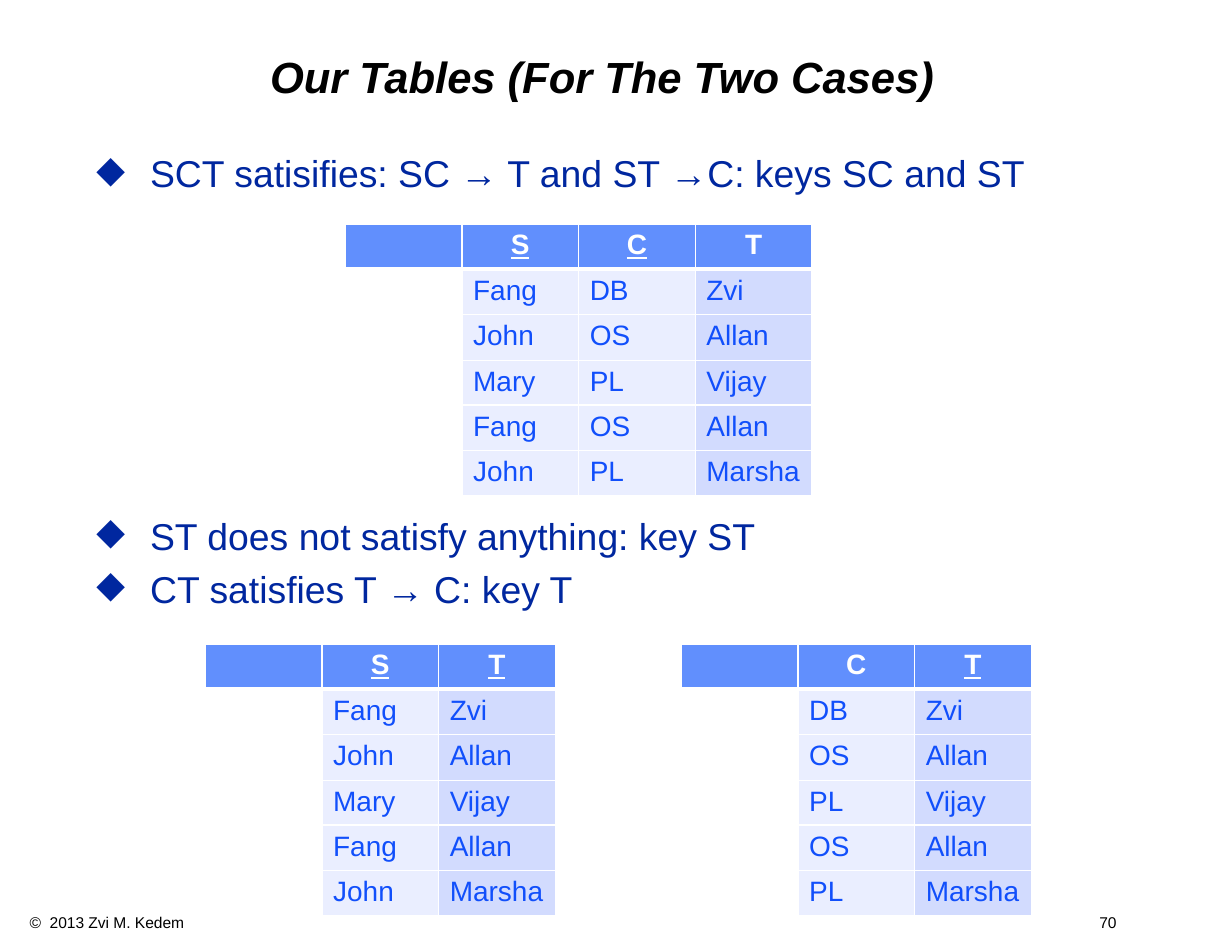
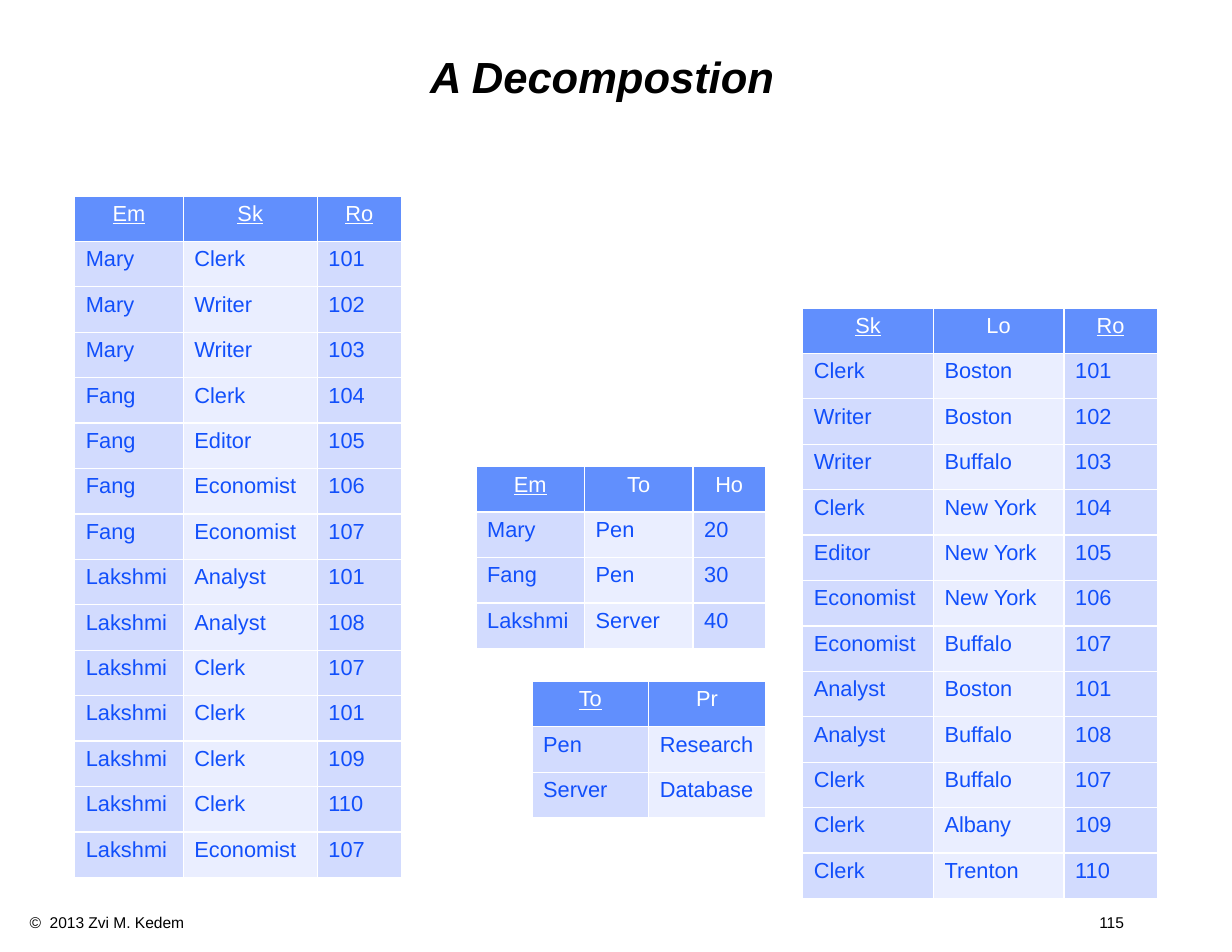
from dataclasses import dataclass

from lxml import etree
from pptx import Presentation
from pptx.dml.color import RGBColor
from pptx.enum.text import MSO_ANCHOR, PP_ALIGN
from pptx.oxml.ns import qn
from pptx.util import Inches, Pt

CENTER, LEFT = PP_ALIGN.CENTER, PP_ALIGN.LEFT
TOP, MIDDLE = MSO_ANCHOR.TOP, MSO_ANCHOR.MIDDLE

SLIDE_WIDTH, SLIDE_HEIGHT = Inches(11), Inches(8.5)
COLUMNS, ROWS = 132, 102
ROW_HEIGHT, SHORT_ROW_HEIGHT = 4.87, 4.5
SHORT_ROW = 3


@dataclass(frozen=True)
class Theme:
    font: str = "Arial"
    title_size: int = 28
    body_size: int = 24
    large_table_size: int = 18
    small_table_size: int = 14
    footer_size: int = 10
    black: str = "000000"
    white: str = "FFFFFF"
    body: str = "00279F"
    header: str = "618FFD"
    cell_text: str = "114FFB"
    light: str = "EAEEFF"
    deep: str = "D2DBFE"


class Page:
    """One slide, placed on a grid of COLUMNS by ROWS."""

    def __init__(self, deck, theme):
        self.theme = theme
        self.shapes = deck.slides.add_slide(deck.slide_layouts[6]).shapes

    def x(self, columns):
        return round(SLIDE_WIDTH * columns / COLUMNS)

    def y(self, rows):
        return round(SLIDE_HEIGHT * rows / ROWS)

    def style(self, para, size, color, bold=False, italic=False, underline=False):
        for span in para.runs:
            font = span.font
            font.name, font.size = self.theme.font, Pt(size)
            font.bold, font.italic, font.underline = bold, italic, underline
            font.color.rgb = RGBColor.from_string(color)

    def text_frame(self, left, top, width, height, inset, anchor=TOP):
        box = self.shapes.add_textbox(
            self.x(left), self.y(top), self.x(width), self.y(height))
        frame = box.text_frame
        frame.word_wrap = True
        frame.vertical_anchor = anchor
        frame.margin_left = frame.margin_right = Inches(inset)
        frame.margin_top = frame.margin_bottom = Inches(inset / 2)
        return frame

    def footer(self, number):
        frame = self.text_frame(2, 97.2, 124, 3.2, 0.1)
        para = frame.paragraphs[0]
        para.text = f"©  2013 Zvi M. Kedem\t{number}"
        tabs = etree.SubElement(para._p.get_or_add_pPr(), qn("a:tabLst"))
        etree.SubElement(tabs, qn("a:tab"), pos=str(Inches(9.55)), algn="l")
        self.style(para, self.theme.footer_size, self.theme.black)

    def title(self, text):
        para = self.text_frame(9, 3, 111, 11, 0.11, MIDDLE).paragraphs[0]
        para.text = text
        para.alignment = CENTER
        para.line_spacing = 0.9
        self.style(para, self.theme.title_size, self.theme.black, bold=True, italic=True)

    def bullets(self, items):
        """Write (text, points of space before) pairs as a diamond list."""
        frame = self.text_frame(9, 16, 112, 80, 0.11)
        for index, (text, space) in enumerate(items):
            para = frame.add_paragraph() if index else frame.paragraphs[0]
            para.text = text
            properties = para._p.get_or_add_pPr()
            properties.set("marL", str(Inches(0.48)))
            properties.set("indent", str(-Inches(0.48)))
            color = etree.SubElement(properties, qn("a:buClr"))
            etree.SubElement(color, qn("a:srgbClr"), val=self.theme.body)
            etree.SubElement(properties, qn("a:buChar"), char="◆")
            para.line_spacing = 0.9
            if space:
                para.space_before = Pt(space)
            self.style(para, self.theme.body_size, self.theme.body)

    def borders(self, cell, top, bottom):
        properties = cell._tc.get_or_add_tcPr()
        for side, width in (("L", 1), ("R", 1), ("T", top), ("B", bottom)):
            line = etree.SubElement(properties, qn(f"a:ln{side}"), w=str(Pt(width)))
            fill = etree.SubElement(line, qn("a:solidFill"))
            etree.SubElement(fill, qn("a:srgbClr"), val=self.theme.white)

    def table(self, left, top, widths, records, keys, size, tints, heights, rule=1, bold=False):
        """Draw records under a header whose key names are underlined."""
        frame = self.shapes.add_table(
            len(records), len(widths), self.x(left), self.y(top),
            self.x(sum(widths)), self.y(sum(heights)))
        table = frame.table
        table.horz_banding = False
        for column, width in zip(table.columns, widths):
            column.width = self.x(width)
        for row, height in zip(table.rows, heights):
            row.height = self.y(height)
        for row_index, record in enumerate(records):
            header = row_index == 0
            for column_index, text in enumerate(record):
                cell = table.cell(row_index, column_index)
                self.borders(cell, rule if row_index == 1 else 1, rule if header else 1)
                cell.fill.solid()
                tint = self.theme.header if header else tints[column_index]
                cell.fill.fore_color.rgb = RGBColor.from_string(tint)
                para = cell.text_frame.paragraphs[0]
                para.text = text
                para.alignment = CENTER if header else LEFT
                self.style(para, size, self.theme.white if header else self.theme.cell_text,
                           bold=header and bold, underline=header and text in keys)

    def case_table(self, left, top, records, keys):
        """Large table with an empty first column and a deeper last one."""
        theme = self.theme
        count = len(records[0])
        heights = [ROW_HEIGHT] * len(records)
        heights[SHORT_ROW] = SHORT_ROW_HEIGHT
        self.table(left, top, [12.5] * (count + 1), [("", *record) for record in records],
                   keys, theme.large_table_size,
                   [theme.white] + [theme.light] * (count - 1) + [theme.deep],
                   heights, rule=3, bold=True)

    def relation_table(self, left, top, widths, records, keys):
        """Small table whose columns alternate between two tints."""
        theme = self.theme
        tints = [theme.light if index % 2 else theme.deep for index in range(len(widths))]
        self.table(left, top, widths, records, keys, theme.small_table_size,
                   tints, [ROW_HEIGHT] * len(records))


def project(records, names):
    """Keep only the named columns of the records."""
    places = [records[0].index(name) for name in names]
    return [[record[place] for place in places] for record in records]


COURSES = [
    ("S", "C", "T"),
    ("Fang", "DB", "Zvi"),
    ("John", "OS", "Allan"),
    ("Mary", "PL", "Vijay"),
    ("Fang", "OS", "Allan"),
    ("John", "PL", "Marsha"),
]

EMPLOYEE_SKILLS = [
    ("Em", "Sk", "Ro"),
    ("Mary", "Clerk", "101"),
    ("Mary", "Writer", "102"),
    ("Mary", "Writer", "103"),
    ("Fang", "Clerk", "104"),
    ("Fang", "Editor", "105"),
    ("Fang", "Economist", "106"),
    ("Fang", "Economist", "107"),
    ("Lakshmi", "Analyst", "101"),
    ("Lakshmi", "Analyst", "108"),
    ("Lakshmi", "Clerk", "107"),
    ("Lakshmi", "Clerk", "101"),
    ("Lakshmi", "Clerk", "109"),
    ("Lakshmi", "Clerk", "110"),
    ("Lakshmi", "Economist", "107"),
]

EMPLOYEE_TOOLS = [
    ("Em", "To", "Ho"),
    ("Mary", "Pen", "20"),
    ("Fang", "Pen", "30"),
    ("Lakshmi", "Server", "40"),
]

TOOL_PROJECTS = [
    ("To", "Pr"),
    ("Pen", "Research"),
    ("Server", "Database"),
]

SKILL_LOCATIONS = [
    ("Sk", "Lo", "Ro"),
    ("Clerk", "Boston", "101"),
    ("Writer", "Boston", "102"),
    ("Writer", "Buffalo", "103"),
    ("Clerk", "New York", "104"),
    ("Editor", "New York", "105"),
    ("Economist", "New York", "106"),
    ("Economist", "Buffalo", "107"),
    ("Analyst", "Boston", "101"),
    ("Analyst", "Buffalo", "108"),
    ("Clerk", "Buffalo", "107"),
    ("Clerk", "Albany", "109"),
    ("Clerk", "Trenton", "110"),
]


def add_page(deck, theme, title, number):
    page = Page(deck, theme)
    page.footer(number)
    page.title(title)
    return page


def build_cases(deck, theme):
    page = add_page(deck, theme, "Our Tables (For The Two Cases)", 70)
    page.bullets([
        ("SCT satisifies: SC → T and ST →C: keys SC and ST", 0),
        ("ST does not satisfy anything: key ST", 207),
        ("CT satisfies T → C: key T", 8.3),
    ])
    page.case_table(37, 24, COURSES, ("S", "C"))
    page.case_table(22, 69, project(COURSES, ("S", "T")), ("S", "T"))
    page.case_table(73, 69, project(COURSES, ("C", "T")), ("T",))


def build_decomposition(deck, theme):
    page = add_page(deck, theme, "A Decompostion", 115)
    page.relation_table(51, 50, (11.63, 11.63, 7.75), EMPLOYEE_TOOLS, ("Em",))
    page.relation_table(57, 73, (12.5, 12.5), TOOL_PROJECTS, ("To",))
    page.relation_table(86, 33, (14, 14, 10), SKILL_LOCATIONS, ("Sk", "Ro"))
    page.relation_table(8, 21, (11.63, 14.37, 9), EMPLOYEE_SKILLS, ("Em", "Sk", "Ro"))


def main():
    deck = Presentation()
    deck.slide_width, deck.slide_height = SLIDE_WIDTH, SLIDE_HEIGHT
    theme = Theme()
    build_cases(deck, theme)
    build_decomposition(deck, theme)
    deck.save("out.pptx")


if __name__ == "__main__":
    main()
